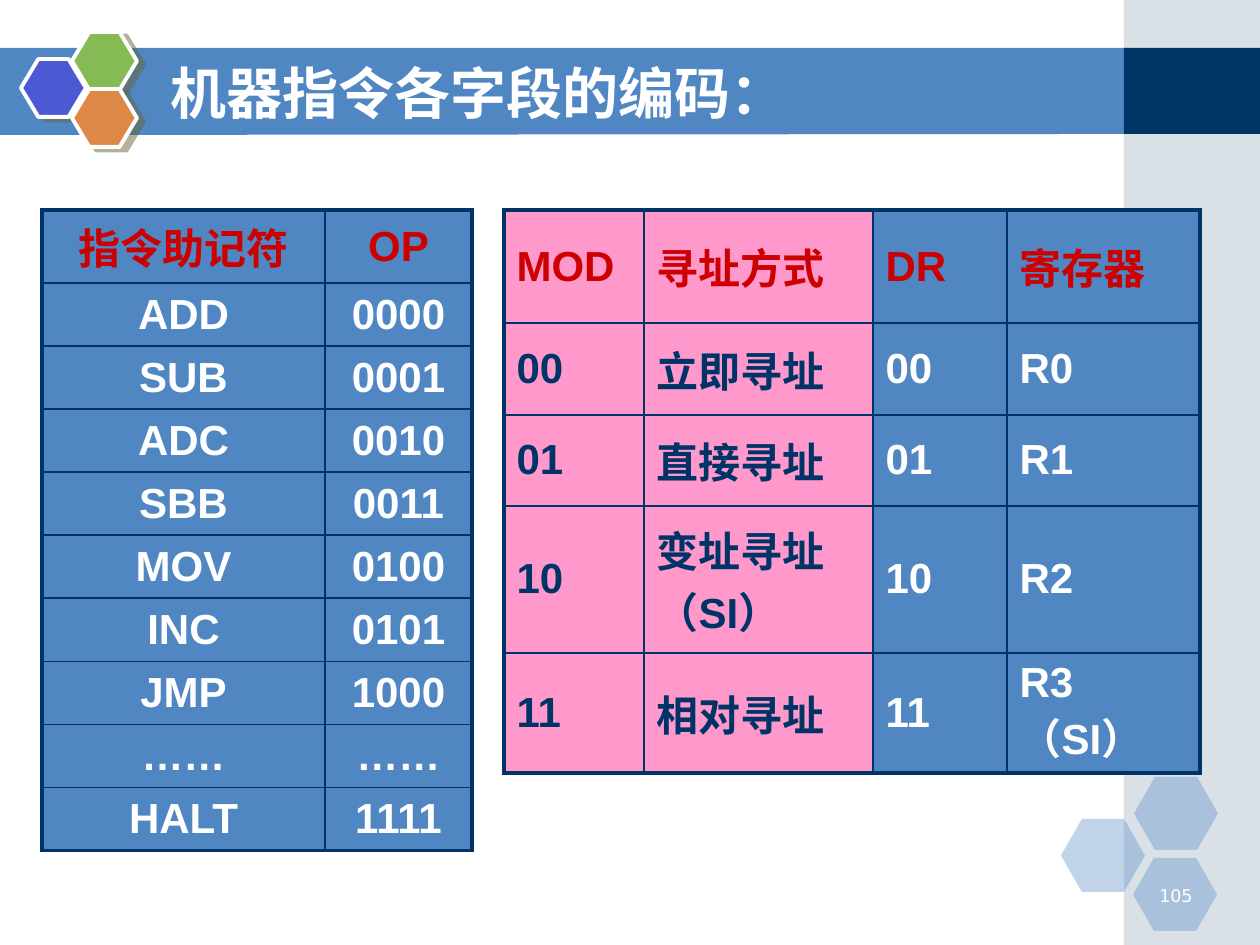
import pptx
import pptx.dml.color
import pptx.enum.shapes
import pptx.enum.text
import pptx.oxml
import pptx.oxml.ns
import pptx.util

EMU_PER_PX = 914400 / 126
SHAPES = pptx.enum.shapes.MSO_SHAPE
ALIGN = pptx.enum.text.PP_ALIGN
ANCHOR = pptx.enum.text.MSO_ANCHOR
NAMESPACE = pptx.oxml.ns.nsdecls("a")

BLUE, NAVY, PINK = "5086C2", "003366", "FF99CC"
RED, WHITE = "CC0000", "FFFFFF"
CHINESE_FONT = "Noto Sans CJK SC"

OPCODES = [
    ["指令助记符", "OP"],
    ["ADD", "0000"],
    ["SUB", "0001"],
    ["ADC", "0010"],
    ["SBB", "0011"],
    ["MOV", "0100"],
    ["INC", "0101"],
    ["JMP", "1000"],
    ["……", "……"],
    ["HALT", "1111"],
]
MODES = [
    ["MOD", "寻址方式", "DR", "寄存器"],
    ["00", "立即寻址", "00", "R0"],
    ["01", "直接寻址", "01", "R1"],
    ["10", "变址寻址（SI）", "10", "R2"],
    ["11", "相对寻址", "11", "R3（SI）"],
]


def px(length):
    return pptx.util.Emu(round(length * EMU_PER_PX))


def rgb(color):
    return pptx.dml.color.RGBColor.from_string(color)


def write(frame, text, size, color, font="Arial", bold=False, align=ALIGN.LEFT):
    paragraph = frame.paragraphs[0]
    paragraph.alignment = align
    run = paragraph.add_run()
    run.text = text
    run.font.size = pptx.util.Pt(size)
    run.font.bold = bold
    run.font.name = font
    run.font.color.rgb = rgb(color)
    run.font._element.find(pptx.oxml.ns.qn("a:latin")).addnext(
        pptx.oxml.parse_xml(f'<a:ea {NAMESPACE} typeface="{CHINESE_FONT}"/>'))


def add_text(slide, box, text, anchor=ANCHOR.TOP, **text_format):
    frame = slide.shapes.add_textbox(*map(px, box)).text_frame
    frame.word_wrap = True
    frame.vertical_anchor = anchor
    write(frame, text, **text_format)


def paint(shape, color, opacity=100):
    """Fill a shape, without outline or shadow."""
    shape.shadow.inherit = False
    shape.line.fill.background()
    shape.fill.solid()
    shape.fill.fore_color.rgb = rgb(color)
    if opacity < 100:
        color_element = shape._element.spPr.find(".//" + pptx.oxml.ns.qn("a:srgbClr"))
        color_element.append(pptx.oxml.parse_xml(
            f'<a:alpha {NAMESPACE} val="{opacity * 1000}"/>'))


def add_shape(slide, kind, box, color, opacity=100):
    shape = slide.shapes.add_shape(kind, *map(px, box))
    paint(shape, color, opacity)
    return shape


def add_hexagon(slide, box, color, opacity=100, slant=0.3):
    shape = add_shape(slide, SHAPES.HEXAGON, box, color, opacity)
    shape.adjustments[0] = slant
    return shape


def add_logo_hexagon(slide, left, top, color):
    """Add a white-edged hexagon with a hard shadow."""
    shape = add_hexagon(slide, (left, top, 65, 58), color)
    shape.line.color.rgb = rgb(WHITE)
    shape.line.width = pptx.util.Pt(2.25)
    effects = shape._element.spPr.find(pptx.oxml.ns.qn("a:effectLst"))
    effects.append(pptx.oxml.parse_xml(
        f'<a:outerShdw {NAMESPACE} blurRad="0" dist="{pptx.util.Pt(4.5)}" '
        f'dir="{27 * 60000}" algn="ctr" rotWithShape="0">'
        '<a:srgbClr val="666633"><a:alpha val="50000"/></a:srgbClr></a:outerShdw>'))


def add_title_band(slide):
    builder = slide.shapes.build_freeform(px(-1), px(48), scale=1.0)
    corners = [(1128, 48), (1128, 134), (-1, 135)]
    builder.add_line_segments([(px(x), px(y)) for x, y in corners], close=True)
    paint(builder.convert_to_shape(), BLUE)


def set_borders(cell, outer_sides):
    """Draw the four cell borders, heavier on the outer sides."""
    properties = cell._tc.get_or_add_tcPr()
    for index, side in enumerate("LRTB"):
        width = pptx.util.Pt(2.25 if side in outer_sides else 1)
        properties.insert(index, pptx.oxml.parse_xml(
            f'<a:ln{side} {NAMESPACE} w="{width}"><a:solidFill>'
            f'<a:srgbClr val="{NAVY}"/></a:solidFill></a:ln{side}>'))


def add_table(slide, left, top, widths, heights, rows, fills, align=ALIGN.LEFT):
    table = slide.shapes.add_table(
        len(rows), len(widths), px(left), px(top), px(sum(widths)), px(sum(heights))).table
    table.first_row = table.horz_banding = False
    for column, width in zip(table.columns, widths):
        column.width = px(width)
    for row, height in zip(table.rows, heights):
        row.height = px(height)
    for i, texts in enumerate(rows):
        for j, (text, fill) in enumerate(zip(texts, fills)):
            cell = table.cell(i, j)
            cell.vertical_anchor = ANCHOR.MIDDLE
            cell.fill.solid()
            cell.fill.fore_color.rgb = rgb(fill)
            edges = {"L": j == 0, "R": j == len(widths) - 1,
                     "T": i == 0, "B": i == len(rows) - 1}
            set_borders(cell, [side for side, outer in edges.items() if outer])
            body_color = NAVY if fill == PINK else WHITE
            write(cell.text_frame, text, size=24, bold=True, align=align,
                  color=RED if i == 0 else body_color)


def add_background(slide):
    add_title_band(slide)
    add_shape(slide, SHAPES.RECTANGLE, (1124, 0, 136, 945), "A0B5C4", opacity=40)
    add_shape(slide, SHAPES.RECTANGLE, (1124, 48, 136, 86), NAVY)
    for left, top in [(1061, 819), (1134, 777), (1133, 858)]:
        add_hexagon(slide, (left, top, 84, 73), BLUE, opacity=35, slant=0.286)
    for left, top, color in [(21, 59, "4C59D2"), (72, 32, "85BA54"), (72, 89, "DE8848")]:
        add_logo_hexagon(slide, left, top, color)


def main():
    presentation = pptx.Presentation()
    presentation.slide_width = px(1260)
    presentation.slide_height = px(945)
    slide = presentation.slides.add_slide(presentation.slide_layouts[6])

    add_background(slide)
    add_text(slide, (1142, 879, 63, 32), "105", size=10, color=WHITE,
             font="DejaVu Sans", align=ALIGN.RIGHT)
    add_text(slide, (158, 71, 924, 42), "机器指令各字段的编码：", anchor=ANCHOR.MIDDLE,
             size=32, color=WHITE, font=CHINESE_FONT, bold=True)
    add_table(slide, 504, 210, [140, 229, 134, 193], [113, 92, 91, 147, 120],
              MODES, [PINK, PINK, BLUE, BLUE])
    add_table(slide, 42, 210, [283, 147], [73] + [59] * 9,
              OPCODES, [BLUE, BLUE], align=ALIGN.CENTER)
    presentation.save("out.pptx")


if __name__ == "__main__":
    main()
